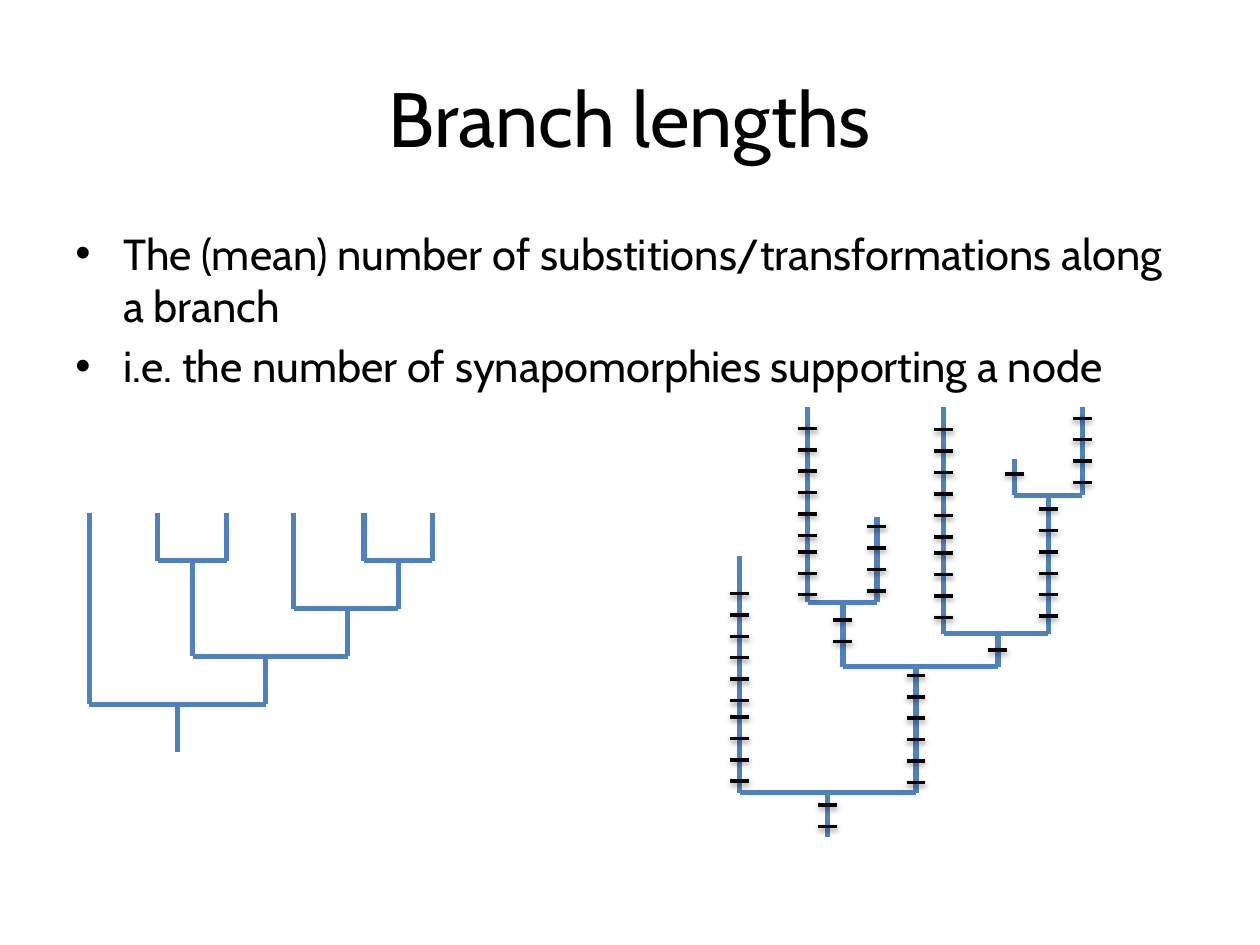
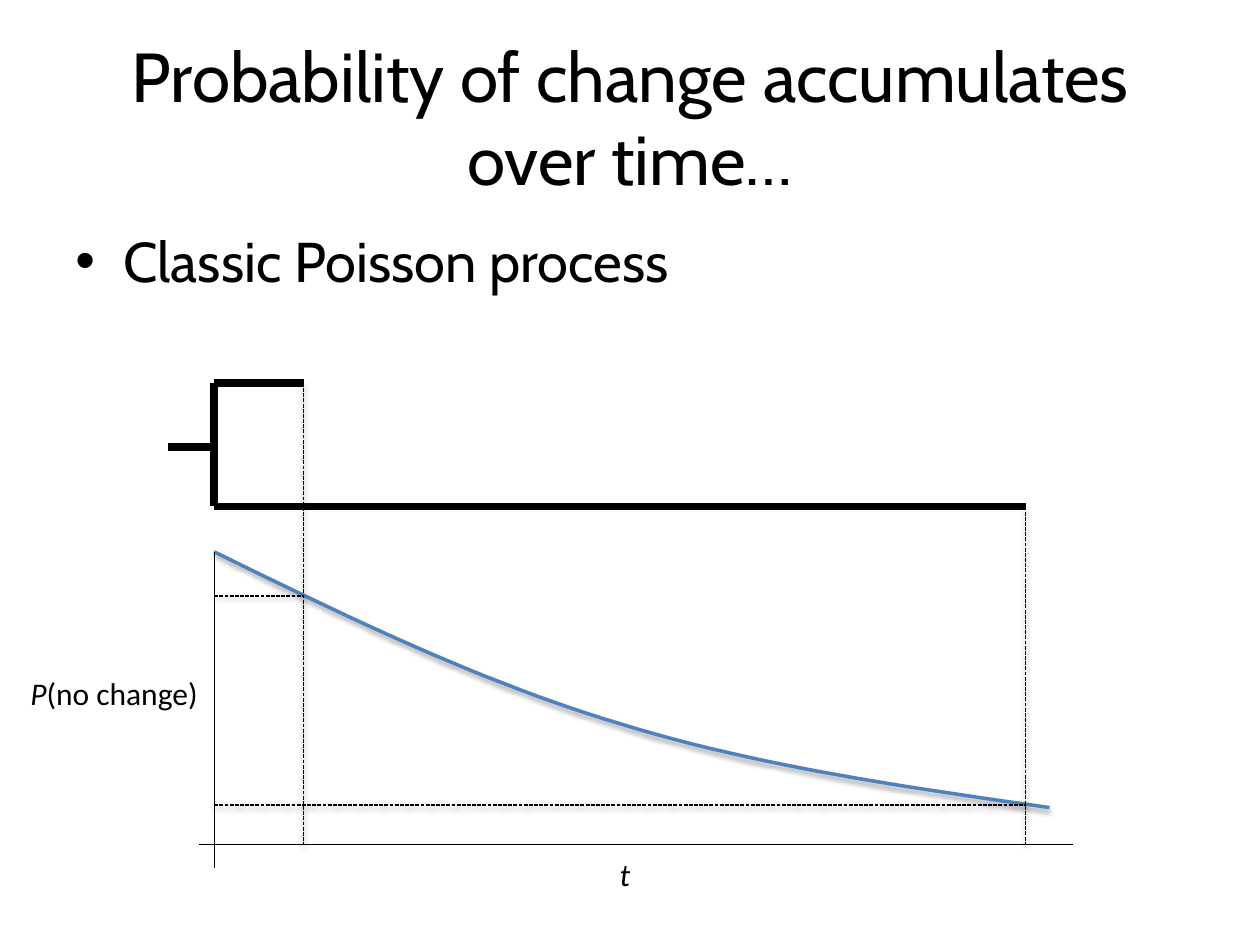
from lxml import etree
from pptx import Presentation
from pptx.dml.color import RGBColor
from pptx.enum.dml import MSO_LINE
from pptx.enum.shapes import MSO_CONNECTOR
from pptx.enum.text import MSO_ANCHOR, PP_ALIGN
from pptx.oxml import parse_xml
from pptx.oxml.ns import nsdecls, qn
from pptx.util import Inches, Pt

STRAIGHT = MSO_CONNECTOR.STRAIGHT
DASHED = MSO_LINE.SQUARE_DOT
CENTER = PP_ALIGN.CENTER
MIDDLE = MSO_ANCHOR.MIDDLE

BLACK = "000000"
BLUE = "4F81BD"
SLIDE_FONT = "Cabin"
LABEL_FONT = "Calibri"
TITLE_ONLY = 5

TITLE_BOX = (0.5, 0.3, 9, 1.25)
INDENT = 0.38

# Each fork joins a left and a right clade at the top of their parent's stem.
FORKS = (("B", "C", "BC"), ("E", "F", "EF"), ("D", "EF", "DEF"),
         ("BC", "DEF", "BCDEF"), ("A", "BCDEF", "root"))
CLADE_X = {"A": 0, "B": 0.54, "C": 1.09, "D": 1.62, "E": 2.18, "F": 2.72,
           "BC": 0.82, "EF": 2.45, "DEF": 2.05, "BCDEF": 1.4, "root": 0.7}

LEVEL = 0.38
EQUAL_TOPS = {**dict.fromkeys("ABCDEF", 0), "BC": LEVEL, "EF": LEVEL,
              "DEF": 2 * LEVEL, "BCDEF": 3 * LEVEL, "root": 4 * LEVEL}
SCALED_TOPS = {"A": 1.18, "B": 0, "C": 0.87, "D": 0, "E": 0.41, "F": 0,
               "BC": 1.55, "EF": 0.7, "DEF": 1.8, "BCDEF": 2.06, "root": 3.06}

TICK_STEP = 0.17
TICK_WIDTH = 0.15
# Runs of changes on each branch: (first offset from the tree's top, count)
CHANGES = {"A": ((1.48, 6), (2.46, 4)), "B": ((0.17, 6), (1.15, 3)),
           "C": ((0.95, 4),), "D": ((0.18, 6), (1.16, 4)), "E": ((0.53, 1),),
           "F": ((0.09, 4),), "BC": ((1.69, 2),), "EF": ((0.81, 6),),
           "DEF": ((1.93, 1),), "BCDEF": ((2.13, 6),), "root": ((3.16, 2),)}


def color(hex_code):
    return RGBColor.from_string(hex_code)


def set_effects(shape, shadow):
    """Replace the theme's effect with a soft drop shadow, or with none."""
    properties = shape._element.spPr
    effects = etree.SubElement(properties, qn("a:effectLst"))
    if shadow:
        effects.append(parse_xml(
            f'<a:outerShdw {nsdecls("a")} blurRad="{Pt(3.1)}" dist="{Pt(1.6)}" '
            'dir="5400000" rotWithShape="0"><a:srgbClr val="000000">'
            '<a:alpha val="38000"/></a:srgbClr></a:outerShdw>'))


def add_line(slide, start, end, hex_code, width, dash=None, shadow=False):
    connector = slide.shapes.add_connector(
        STRAIGHT, *(Inches(value) for value in (*start, *end)))
    connector.line.color.rgb = color(hex_code)
    connector.line.width = Pt(width)
    if dash:
        connector.line.dash_style = dash
    set_effects(connector, shadow)


def format_run(run, font, size, italic=None):
    run.font.name = font
    run.font.size = Pt(size)
    run.font.italic = italic
    run.font.color.rgb = color(BLACK)


def add_titled_slide(presentation, text, size):
    slide = presentation.slides.add_slide(presentation.slide_layouts[TITLE_ONLY])
    title = slide.shapes.title
    title.left, title.top, title.width, title.height = map(Inches, TITLE_BOX)
    frame = title.text_frame
    frame.text = text
    frame.word_wrap = True
    frame.vertical_anchor = MIDDLE
    frame.paragraphs[0].alignment = CENTER
    format_run(frame.paragraphs[0].runs[0], SLIDE_FONT, size)
    return slide


def add_bullets(slide, box, lines, size):
    frame = slide.shapes.add_textbox(*map(Inches, box)).text_frame
    frame.word_wrap = True
    frame.text = "\n".join(lines)
    for paragraph in frame.paragraphs:
        format_run(paragraph.runs[0], SLIDE_FONT, size)
        paragraph.space_before = Pt(0.2 * size)
        properties = paragraph._p.get_or_add_pPr()
        properties.set("marL", str(Inches(INDENT)))
        properties.set("indent", str(-Inches(INDENT)))
        etree.SubElement(properties, qn("a:buFont"), typeface="Arial")
        etree.SubElement(properties, qn("a:buChar"), char="•")


def add_label(slide, box, parts):
    """Add a centred label from (text, italic) parts."""
    frame = slide.shapes.add_textbox(*map(Inches, box)).text_frame
    frame.word_wrap = False
    paragraph = frame.paragraphs[0]
    paragraph.alignment = CENTER
    for text, italic in parts:
        run = paragraph.add_run()
        run.text = text
        format_run(run, LABEL_FONT, 18, italic)


def add_tree(slide, left, top, clade_tops, root_length):
    def point(clade, level):
        return left + CLADE_X[clade], top + clade_tops[level]

    for first, second, parent in FORKS:
        for child in (first, second):
            add_line(slide, point(child, child), point(child, parent), BLUE, 3)
        add_line(slide, point(first, parent), point(second, parent), BLUE, 3)
    root_x, root_y = point("root", "root")
    add_line(slide, (root_x, root_y), (root_x, root_y + root_length), BLUE, 3)


def add_changes(slide, left, top):
    for clade, runs in CHANGES.items():
        x = left + CLADE_X[clade] - TICK_WIDTH / 2
        for first, count in runs:
            for index in range(count):
                y = top + first + index * TICK_STEP
                add_line(slide, (x, y), (x + TICK_WIDTH, y), BLACK, 2, shadow=True)


def add_two_branch_tree(slide, left, top, short, long, height):
    """Draw a sideways fork with a short upper and a long lower branch."""
    bottom, middle = top + height, top + 0.51
    for start, end in (((left + short, top), (left, top)),
                       ((left + long, bottom), (left, bottom)),
                       ((left, bottom), (left, top)),
                       ((left, middle), (left - 0.37, middle))):
        add_line(slide, start, end, BLACK, 4.5)


def bezier_points(start, control_1, control_2, end, steps=24):
    for step in range(1, steps + 1):
        t = step / steps
        weights = ((1 - t) ** 3, 3 * t * (1 - t) ** 2, 3 * t ** 2 * (1 - t), t ** 3)
        yield tuple(sum(weight * value for weight, value in zip(weights, values))
                    for values in zip(start, control_1, control_2, end))


def add_decay_curve(slide, left, top):
    start, middle, end = (0, 0), (3.24, 1.37), (6.63, 2.03)
    points = [*bezier_points(start, (1.06, 0.52), (2.13, 1.04), middle),
              *bezier_points(middle, (4.34, 1.71), (5.58, 1.88), end)]
    builder = slide.shapes.build_freeform(0, 0, scale=Inches(1) / 1000)
    builder = slide.shapes.build_freeform(
        round(left * 1000), round(top * 1000), scale=Inches(1) / 1000)
    builder.add_line_segments(
        [(round((left + x) * 1000), round((top + y) * 1000)) for x, y in points],
        close=False)
    curve = builder.convert_to_shape()
    curve.fill.background()
    curve.line.color.rgb = color(BLUE)
    curve.line.width = Pt(2)
    set_effects(curve, shadow=True)


def add_probability_plot(slide, left, top, baseline, readings):
    """Draw the curve, its axes and (time, probability y, guide top) readings."""
    add_decay_curve(slide, left, top)
    for time, level, guide_top in readings:
        x, y = left + time, top + level
        add_line(slide, (x, guide_top), (x, baseline), BLACK, 0.75, DASHED, True)
        add_line(slide, (left, y), (x, y), BLACK, 0.75, DASHED, True)
    add_line(slide, (left, top), (left, baseline + 0.19), BLACK, 0.75)
    add_line(slide, (left - 0.12, baseline), (left + 6.82, baseline), BLACK, 0.75)
    add_label(slide, (left + 2.96, baseline + 0.04, 0.6, 0.4), [("t", True)])
    add_label(slide, (left - 1.59, top + 0.92, 1.59, 0.4),
              [("P", True), ("(no change)", False)])


def build_branch_lengths(presentation):
    slide = add_titled_slide(presentation, "Branch lengths", 44)
    add_bullets(slide, (0.5, 1.75, 9, 1.19), [
        "The (mean) number of substitions/transformations along a branch",
        "i.e. the number of synapomorphies supporting a node"], 24.8)
    add_tree(slide, 0.71, 4.07, EQUAL_TOPS, LEVEL)
    scaled_left, scaled_top = 5.87, 3.23
    add_tree(slide, scaled_left, scaled_top, SCALED_TOPS, 0.35)
    add_changes(slide, scaled_left, scaled_top)


def build_probability(presentation):
    slide = add_titled_slide(
        presentation, "Probability of change accumulates over time…", 39.6)
    add_bullets(slide, (0.5, 1.75, 9, 0.8), ["Classic Poisson process"], 32)
    left, tree_top, tree_height = 1.7, 3.04, 0.98
    short, long = 0.71, 6.44
    add_two_branch_tree(slide, left, tree_top, short, long, tree_height)
    add_probability_plot(slide, left, 4.38, 6.7, [
        (short, 0.35, tree_top), (long, 2.01, tree_top + tree_height)])


def main():
    presentation = Presentation()
    presentation.slide_width = Inches(10)
    presentation.slide_height = Inches(7.5)
    build_branch_lengths(presentation)
    build_probability(presentation)
    presentation.save("out.pptx")


if __name__ == "__main__":
    main()
